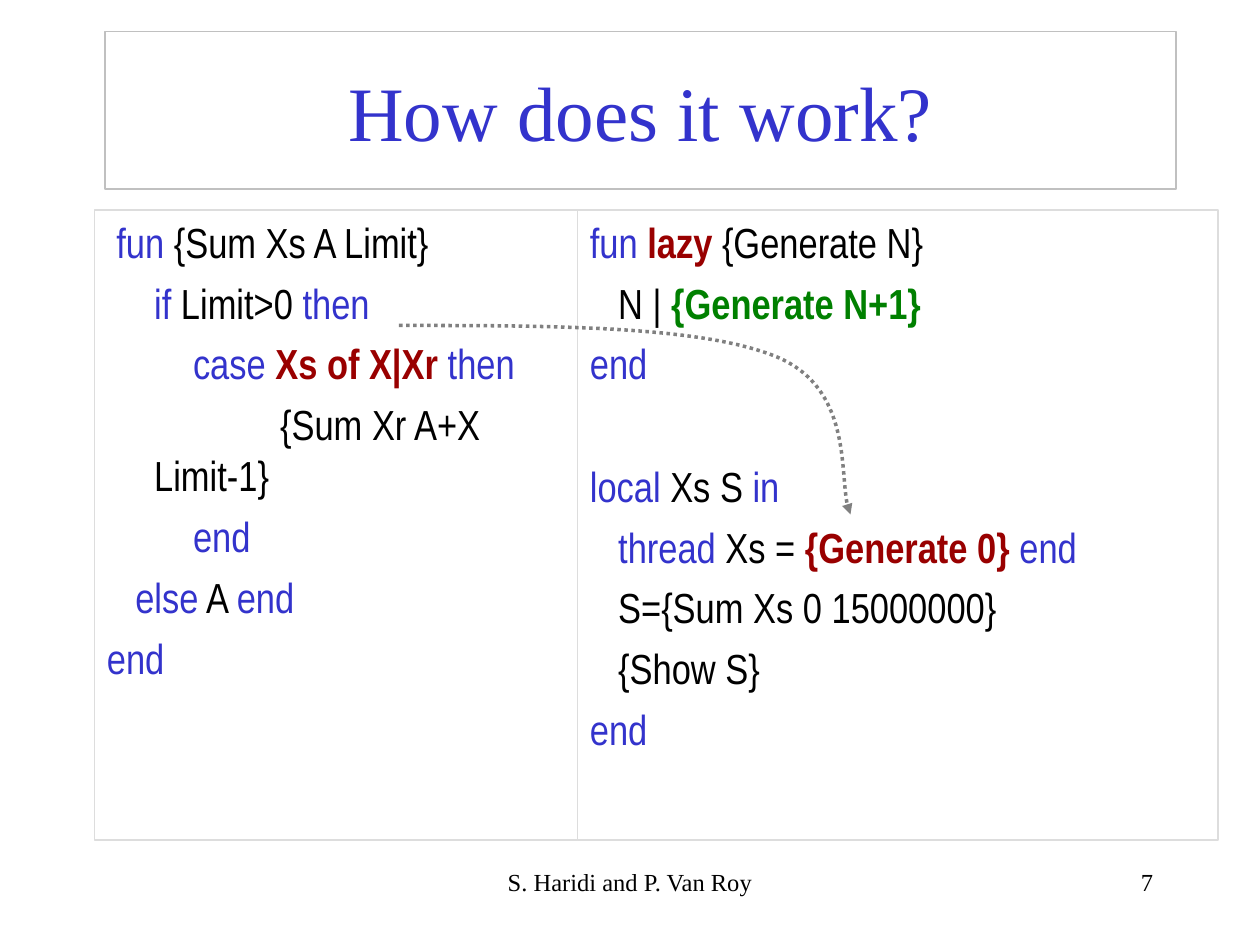
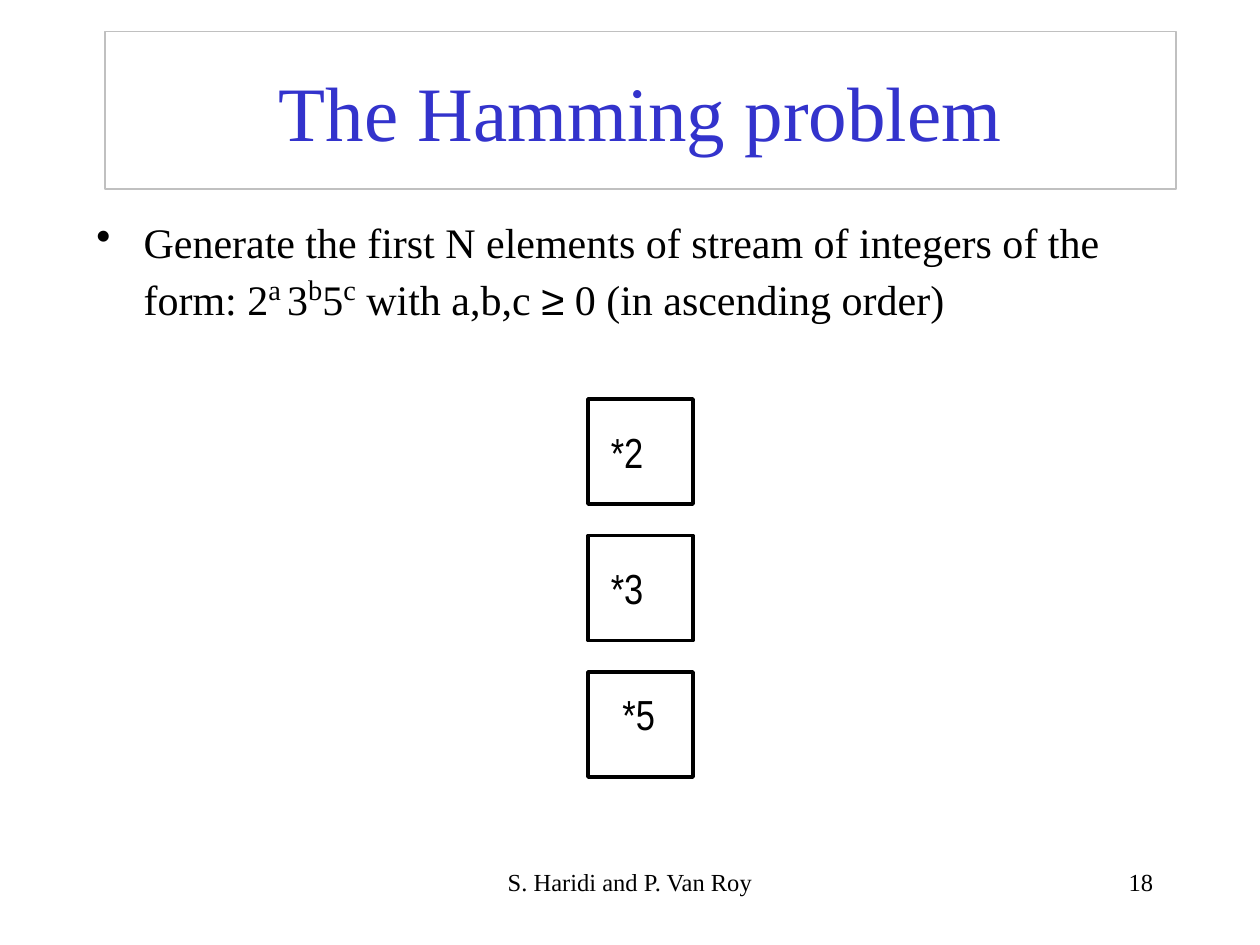
import lxml.etree
import pptx
import pptx.dml.color
import pptx.enum.dml
import pptx.enum.shapes
import pptx.enum.text
import pptx.oxml.ns
import pptx.util

PX = 7620
BLACK = pptx.dml.color.RGBColor(0x00, 0x00, 0x00)
BLUE = pptx.dml.color.RGBColor(0x33, 0x33, 0xCC)
RED = pptx.dml.color.RGBColor(0x99, 0x00, 0x00)
GREEN = pptx.dml.color.RGBColor(0x00, 0x80, 0x00)
GRAY = pptx.dml.color.RGBColor(0x80, 0x80, 0x80)
TITLE_BORDER = pptx.dml.color.RGBColor(0xC0, 0xC0, 0xC0)
PANEL_BORDER = pptx.dml.color.RGBColor(0xDD, 0xDD, 0xDD)
SERIF = "Times New Roman"
NARROW = "Arial Narrow"
HANGING = 45
ALIGN = pptx.enum.text.PP_ALIGN
ANCHOR = pptx.enum.text.MSO_ANCHOR
qn = pptx.oxml.ns.qn


def add_run(paragraph, text, font, size, color=BLACK):
    run = paragraph.add_run()
    run.text = text
    run.font.name = font
    run.font.size = pptx.util.Pt(size)
    run.font.color.rgb = color
    run.font.bold = color in (RED, GREEN)
    return run


def add_frame(shapes, left, top, width, height, border, weight):
    frame = shapes.add_shape(
        pptx.enum.shapes.MSO_SHAPE.RECTANGLE, left * PX, top * PX, width * PX, height * PX)
    frame.shadow.inherit = False
    frame.fill.background()
    frame.line.color.rgb = border
    frame.line.width = pptx.util.Pt(weight)
    return frame


deck = pptx.Presentation()
deck.slide_width = 1200 * PX
deck.slide_height = 900 * PX

slides = []
for heading, number in (("How does it work?", "7"), ("The Hamming problem", "18")):
    slide = deck.slides.add_slide(deck.slide_layouts[5])
    slides.append(slide)
    title = slide.shapes.title
    title.left, title.top, title.width, title.height = 100 * PX, 30 * PX, 1020 * PX, 150 * PX
    title.line.color.rgb = TITLE_BORDER
    title.line.width = pptx.util.Pt(0.75)
    title.text_frame.auto_size = pptx.enum.text.MSO_AUTO_SIZE.NONE
    title.text_frame.vertical_anchor = ANCHOR.MIDDLE
    title.text_frame.paragraphs[0].alignment = ALIGN.CENTER
    add_run(title.text_frame.paragraphs[0], heading, SERIF, 44, BLUE)

    for text, left, width, alignment in (
            ("S. Haridi and P. Van Roy", 410, 380, ALIGN.CENTER),
            (number, 860, 250, ALIGN.RIGHT)):
        footer = slide.shapes.add_textbox(left * PX, 820 * PX, width * PX, 60 * PX)
        footer.text_frame.word_wrap = True
        footer.text_frame.paragraphs[0].alignment = alignment
        add_run(footer.text_frame.paragraphs[0], text, SERIF, 14)

lazy_slide, hamming_slide = slides

sum_code = [
    (9, 6, [("fun", BLUE), (" {Sum Xs A Limit}", BLACK)]),
    (45, 6, [("if", BLUE), (" Limit>0 ", BLACK), ("then", BLUE)]),
    (82, 6, [("case ", BLUE), ("Xs of X|Xr ", RED), ("then", BLUE)]),
    (165, 6, [("{Sum Xr A+X Limit-1}", BLACK)]),
    (82, 6, [("end", BLUE)]),
    (27, 6, [("else", BLUE), (" A ", BLACK), ("end", BLUE)]),
    (0, 6, [("end", BLUE)]),
]
generate_code = [
    (0, 6, [("fun ", BLUE), ("lazy", RED), (" {Generate N}", BLACK)]),
    (27, 6, [("N | ", BLACK), ("{Generate N+1}", GREEN)]),
    (0, 6, [("end", BLUE)]),
    (0, 41, [("local", BLUE), (" Xs S ", BLACK), ("in", BLUE)]),
    (27, 6, [("thread", BLUE), (" Xs = ", BLACK), ("{Generate 0} ", RED), ("end", BLUE)]),
    (27, 6, [("S={Sum Xs 0 15000000}", BLACK)]),
    (27, 6, [("{Show S}", BLACK)]),
    (0, 6, [("end", BLUE)]),
]
for left, width, code in ((90, 460, sum_code), (550, 610, generate_code)):
    panel = add_frame(lazy_slide.shapes, left, 200, width, 600, PANEL_BORDER, 0.75)
    panel.text_frame.word_wrap = True
    panel.text_frame.vertical_anchor = ANCHOR.TOP
    for row, (offset, gap, pieces) in enumerate(code):
        line = panel.text_frame.add_paragraph() if row else panel.text_frame.paragraphs[0]
        line.alignment = ALIGN.LEFT
        line.space_before = pptx.util.Pt(gap)
        properties = line._p.get_or_add_pPr()
        properties.set("marL", str(HANGING * PX))
        properties.set("indent", str((offset - HANGING) * PX))
        for text, color in pieces:
            add_run(line, text, NARROW, 24, color)

outline = lazy_slide.shapes.build_freeform(380, 310, PX)
outline.add_line_segments(
    [(524, 310), (668, 310), (740, 340), (811, 370), (798, 466), (810, 490)], close=False)
demand_arrow = outline.convert_to_shape()
demand_arrow.shadow.inherit = False
demand_arrow.fill.background()
demand_arrow.line.color.rgb = GRAY
demand_arrow.line.width = pptx.util.Pt(2)
demand_arrow.line.dash_style = pptx.enum.dml.MSO_LINE.ROUND_DOT
stroke = demand_arrow.element.spPr.find(qn("a:ln"))
lxml.etree.SubElement(stroke, qn("a:tailEnd"), type="triangle")
segments = list(demand_arrow.element.iter(qn("a:lnTo")))
for first in range(0, len(segments), 3):
    curve = lxml.etree.SubElement(segments[first].getparent(), qn("a:cubicBezTo"))
    for segment in segments[first:first + 3]:
        curve.append(segment[0])
        segment.getparent().remove(segment)

task = hamming_slide.shapes.add_textbox(80 * PX, 200 * PX, 1020 * PX, 150 * PX)
task.text_frame.word_wrap = True
statement = task.text_frame.paragraphs[0]
statement.space_before = pptx.util.Pt(6)
properties = statement._p.get_or_add_pPr()
properties.set("marL", str(HANGING * PX))
properties.set("indent", str(-HANGING * PX))
bullet_color = lxml.etree.SubElement(properties, qn("a:buClr"))
lxml.etree.SubElement(bullet_color, qn("a:srgbClr"), val=str(BLACK))
lxml.etree.SubElement(properties, qn("a:buChar"), char="•")
for text, font, raised in (
        ("Generate the first N elements of stream of integers of the form: 2", SERIF, False),
        ("a", SERIF, True),
        (" ", SERIF, True),
        ("3", SERIF, False),
        ("b", SERIF, True),
        ("5", SERIF, False),
        ("c", SERIF, True),
        (" with a,b,c ", SERIF, False),
        ("≥", "Arial", False),
        (" 0 (in ascending order)", SERIF, False)):
    run = add_run(statement, text, font, 28 if raised and text != " " else 24)
    if raised:
        run._r.get_or_add_rPr().set("baseline", "30000")

for factor, top, label_left, label_top in (
        ("*3", 510, 570, 530), ("*2", 380, 570, 400), ("*5", 640, 581, 650)):
    multiplier = hamming_slide.shapes.add_group_shape()
    add_frame(multiplier.shapes, 560, top, 100, 100, BLACK, 2)
    label = multiplier.shapes.add_textbox(label_left * PX, label_top * PX, 55 * PX, 60 * PX)
    label.text_frame.word_wrap = False
    label.text_frame.auto_size = pptx.enum.text.MSO_AUTO_SIZE.SHAPE_TO_FIT_TEXT
    add_run(label.text_frame.paragraphs[0], factor, NARROW, 24)

deck.save("out.pptx")
